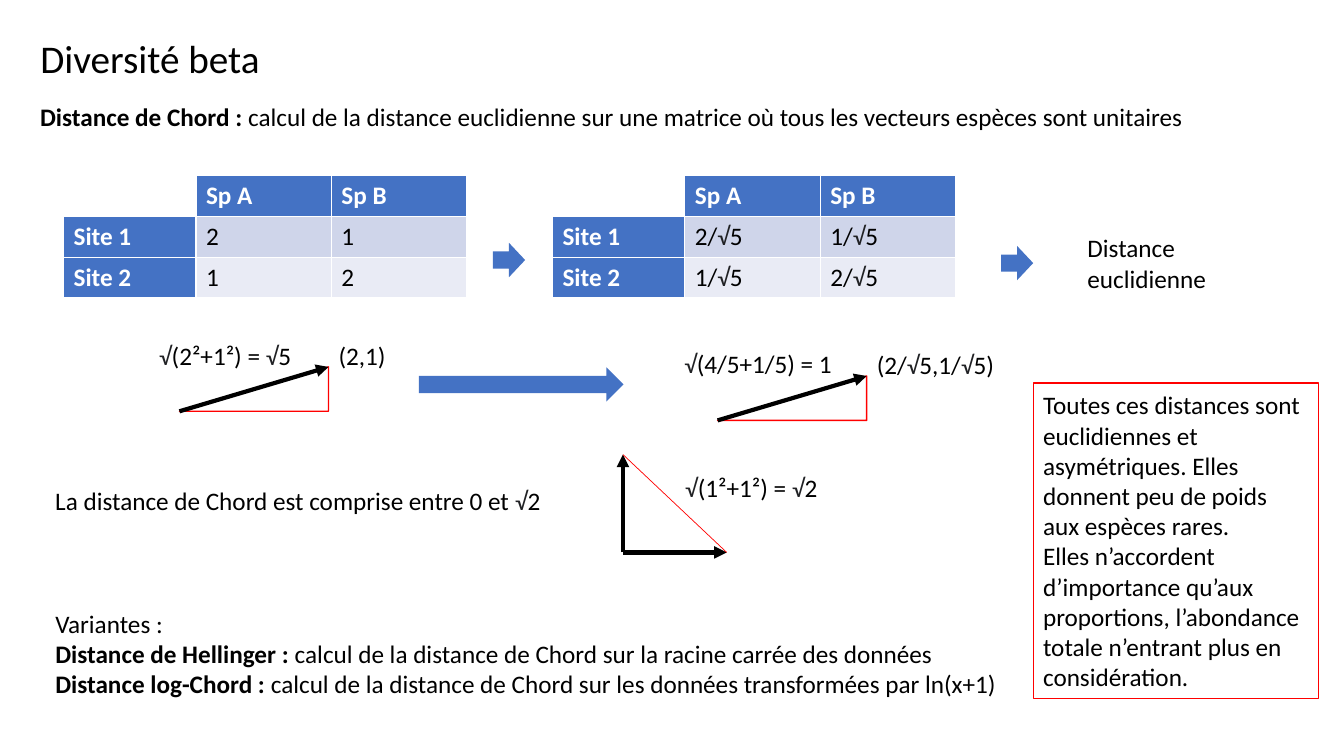
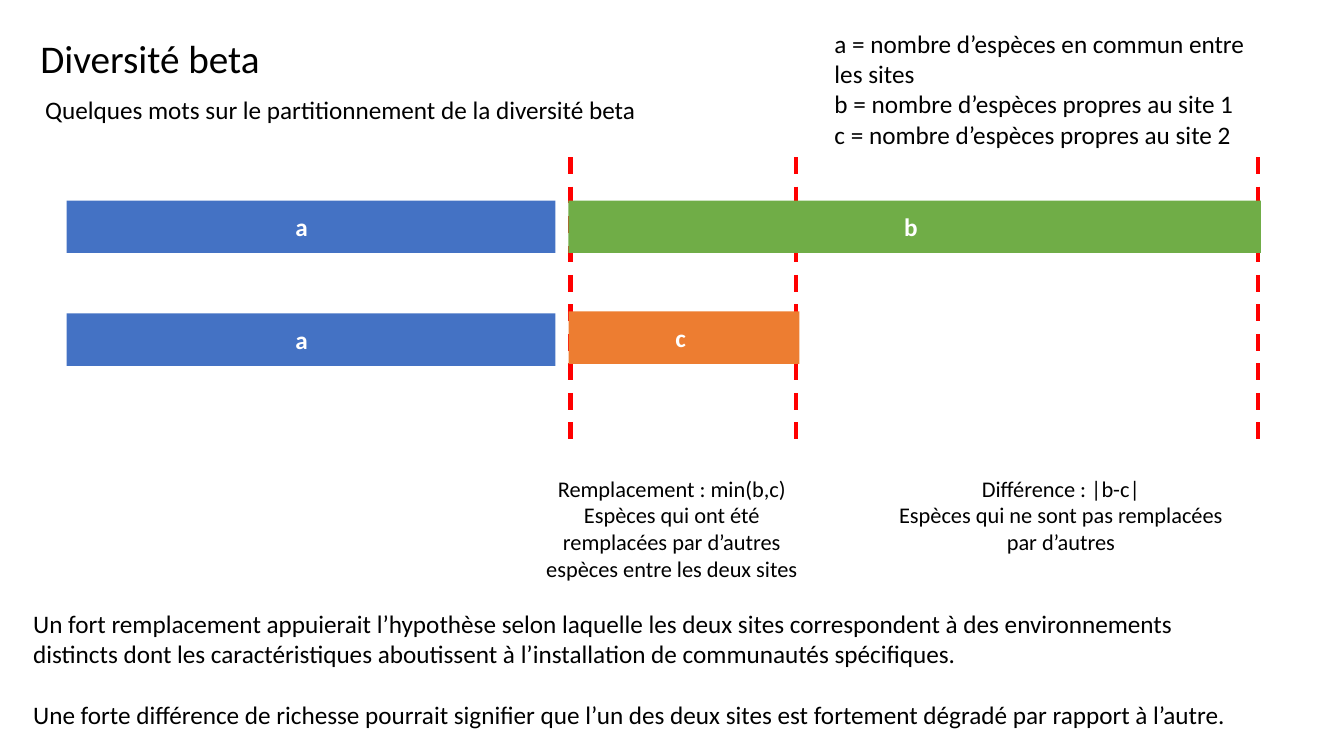
from itertools import groupby

from pptx import Presentation
from pptx import util as u
from pptx.dml import color
from pptx.enum import dml, shapes, text
from pptx.oxml import ns, xmlchemy

BLACK, ROOT_SIGN, WHITE, RED = "000000", "202124", "FFFFFF", "FF0000"
BLUE, GREEN, ORANGE = "4472C4", "70AD47", "ED7D31"
BANDS = ("CFD5EA", "E9EBF5")


def rgb(hex_code):
    return color.RGBColor.from_string(hex_code)


def points(*lengths):
    return [u.Pt(length) for length in lengths]


class Deck:
    """Holds the presentation, its style and the slide being filled."""

    font_format = {"name": "Calibri", "size": u.Pt(18), "bold": False}
    title_box = (21.6, 20.9, 500.4, 63.4)

    def __init__(self):
        self.file = Presentation()
        self.file.slide_width, self.file.slide_height = points(960, 540)
        self.slide = None

    def new_slide(self, heading):
        self.slide = self.file.slides.add_slide(self.file.slide_layouts[5])
        title = self.slide.shapes.title
        title.left, title.top, title.width, title.height = points(*self.title_box)
        frame = title.text_frame
        frame_format = {
            "word_wrap": True,
            "auto_size": text.MSO_AUTO_SIZE.NONE,
            "vertical_anchor": text.MSO_ANCHOR.TOP,
        }
        for name, value in frame_format.items():
            setattr(frame, name, value)
        self.set_lines(frame, [heading], size=u.Pt(28))
        frame.paragraphs[0].line_spacing = 1.0

    def set_lines(self, frame, lines, ink=BLACK, align=text.PP_ALIGN.LEFT, gap=0,
                  **changes):
        """Add one paragraph per line; text between ** marks is bold."""
        for number, line in enumerate(lines):
            paragraph = frame.add_paragraph() if number else frame.paragraphs[0]
            paragraph.alignment = align
            if number and gap:
                paragraph.space_before = u.Pt(gap)
            for part, words in enumerate(line.split("**")):
                for is_root, letters in groupby(words, lambda letter: letter == "√"):
                    run = paragraph.add_run()
                    run.text = "".join(letters)
                    font_format = self.font_format | {"bold": part % 2 == 1} | changes
                    for name, value in font_format.items():
                        setattr(run.font, name, value)
                    run.font.color.rgb = rgb(ROOT_SIGN if is_root else ink)

    def text_box(self, box, *lines, **style):
        frame = self.slide.shapes.add_textbox(*points(*box)).text_frame
        frame.word_wrap = True
        self.set_lines(frame, lines, **style)

    def shape(self, kind, box, fill=None, outline=None, weight=1.0):
        figure = self.slide.shapes.add_shape(kind, *points(*box))
        figure.shadow.inherit = False
        if fill:
            figure.fill.solid()
            figure.fill.fore_color.rgb = rgb(fill)
        else:
            figure.fill.background()
        if outline:
            figure.line.color.rgb = rgb(outline)
            figure.line.width = u.Pt(weight)
        else:
            figure.line.fill.background()
        return figure

    def framed_note(self, box, *lines):
        note = self.shape(shapes.MSO_SHAPE.RECTANGLE, box, outline=RED, weight=0.75)
        note.text_frame.word_wrap = True
        self.set_lines(note.text_frame, lines)

    def step_arrow(self, left, top, width=23):
        self.shape(shapes.MSO_SHAPE.RIGHT_ARROW, (left, top, width, 24.5), fill=BLUE)

    def bar(self, box, fill, letter, inset):
        """Draw a bar whose letter starts at the given inset."""
        frame = self.shape(shapes.MSO_SHAPE.RECTANGLE, box, fill=fill).text_frame
        frame.margin_left = u.Pt(inset)
        frame.vertical_anchor = text.MSO_ANCHOR.MIDDLE
        self.set_lines(frame, [letter], ink=WHITE, bold=True)

    def line(self, start, end, ink=BLACK, weight=3, dashed=False, arrow=False):
        link = self.slide.shapes.add_connector(
            shapes.MSO_CONNECTOR.STRAIGHT, *points(*start, *end))
        link.line.color.rgb = rgb(ink)
        link.line.width = u.Pt(weight)
        if dashed:
            link.line.dash_style = dml.MSO_LINE.DASH
        properties = link._element.spPr
        if arrow:
            head = xmlchemy.OxmlElement("a:tailEnd")
            head.set("type", "triangle")
            properties.find(ns.qn("a:ln")).append(head)
        properties.append(xmlchemy.OxmlElement("a:effectLst"))

    def vector(self, left, top, width=106.5, height=31.7):
        """Draw a vector as the hypotenuse of its red right triangle."""
        triangle = self.shape(
            shapes.MSO_SHAPE.RIGHT_TRIANGLE, (left, top, width, height), outline=RED)
        triangle._element.spPr.find(ns.qn("a:xfrm")).set("flipH", "1")
        self.line((left, top + height), (left + width, top), arrow=True)

    def site_table(self, left, top, counts):
        rows = [["", "Sp A", "Sp B"]]
        rows += [[f"Site {n}", *values] for n, values in enumerate(counts, 1)]
        widths, row_height = (94.6, 96.7, 96.7), 29.2
        table = self.slide.shapes.add_table(
            len(rows), len(widths),
            *points(left, top, sum(widths), row_height * len(rows))).table
        table.first_col = True
        for column, width in zip(table.columns, widths):
            column.width = u.Pt(width)
        for r, row in enumerate(rows):
            table.rows[r].height = u.Pt(row_height)
            for c, value in enumerate(row):
                cell = table.cell(r, c)
                if not value:
                    cell.fill.background()
                    continue
                heading = r == 0 or c == 0
                cell.fill.solid()
                cell.fill.fore_color.rgb = rgb(BLUE if heading else BANDS[r - 1])
                self.set_lines(cell.text_frame, [value],
                               ink=WHITE if heading else BLACK, bold=heading)


def chord_distance(deck):
    deck.new_slide("Diversité beta")
    deck.text_box(
        (21.6, 69.1, 885.6, 29),
        "**Distance de Chord : **calcul de la distance euclidienne sur une matrice "
        "où tous les vecteurs espèces sont unitaires")

    deck.site_table(45.4, 125.3, [("2", "1"), ("1", "2")])
    deck.site_table(394.6, 125.3, [("2/√5", "1/√5"), ("1/√5", "2/√5")])
    deck.step_arrow(352.1, 173.5)
    deck.step_arrow(715, 175.7)
    deck.text_box((769.7, 162.7, 128, 51), "Distance euclidienne")

    deck.vector(128.2, 262.1)
    deck.text_box((106.6, 239.8, 128, 29), "√(2²+1²) = √5")
    deck.text_box((234.7, 239.8, 57, 29), "(2,1)")
    deck.step_arrow(299.2, 262.4, width=146.2)
    deck.vector(512.6, 268.6)
    deck.text_box((481.7, 245.5, 146, 29), "√(4/5+1/5) = 1")
    deck.text_box((619.2, 246.2, 128, 29), "(2/√5,1/√5)")

    corner, site_1, site_2 = (445, 394.6), (445, 324.7), (519.1, 394.6)
    for site in (site_1, site_2):
        deck.line(corner, site, arrow=True)
    deck.line(site_1, site_2, ink=RED, weight=0.5)
    deck.text_box((482.4, 334.1, 128, 29), "√(1²+1²) = √2")
    deck.text_box((32.4, 343.4, 606, 29),
                  "La distance de Chord est comprise entre 0 et √2")

    deck.text_box(
        (32.4, 430.6, 692.6, 72.7),
        "Variantes :",
        "**Distance de Hellinger : **calcul de la distance de Chord sur la racine "
        "carrée des données",
        "**Distance log-Chord : **calcul de la distance de Chord sur les données "
        "transformées par ln(x+1)")
    deck.framed_note(
        (738, 273.6, 203.8, 225.4),
        "Toutes ces distances sont euclidiennes et asymétriques. Elles",
        "donnent peu de poids aux espèces rares.",
        "Elles n’accordent d’importance qu’aux proportions, l’abondance totale "
        "n’entrant plus en considération.")


def beta_partition(deck):
    deck.new_slide("Diversité beta")
    deck.text_box((25.2, 64.1, 540, 29),
                  "Quelques mots sur le partitionnement de la diversité beta")
    deck.text_box(
        (589, 16.6, 311.8, 94.3),
        "a = nombre d’espèces en commun entre les sites",
        "b = nombre d’espèces propres au site 1",
        "c = nombre d’espèces propres au site 2")

    for limit in (407.5, 568.8, 898.6):
        deck.line((limit, 112.3), (limit, 316.8), ink=RED, dashed=True)

    common_left, own_left, height = 47.5, 406.1, 37.4
    for top in (143.3, 223.9):
        deck.bar((common_left, top, 349.2, height), BLUE, "a", 163.4)
    deck.bar((own_left, 143.3, 494.6, height), GREEN, "b", 239.8)
    deck.bar((own_left, 222.5, 164.9, height), ORANGE, "c", 76.3)

    for box, *lines in (
        ((375.1, 335.5, 209.5, 85), "Remplacement : min(b,c)",
         "Espèces qui ont été remplacées par d’autres espèces entre les deux sites"),
        ((633.6, 335.5, 248.4, 65.5), "Différence : |b-c|",
         "Espèces qui ne sont pas remplacées par d’autres"),
    ):
        deck.text_box(box, *lines, align=text.PP_ALIGN.CENTER, size=u.Pt(16))

    deck.text_box(
        (16.6, 430.6, 871.2, 94.3),
        "Un fort remplacement appuierait l’hypothèse selon laquelle les deux sites "
        "correspondent à des environnements distincts dont les caractéristiques "
        "aboutissent à l’installation de communautés spécifiques.",
        "Une forte différence de richesse pourrait signifier que l’un des deux sites "
        "est fortement dégradé par rapport à l’autre.",
        gap=22)


def main():
    deck = Deck()
    chord_distance(deck)
    beta_partition(deck)
    deck.file.save("out.pptx")


if __name__ == "__main__":
    main()
